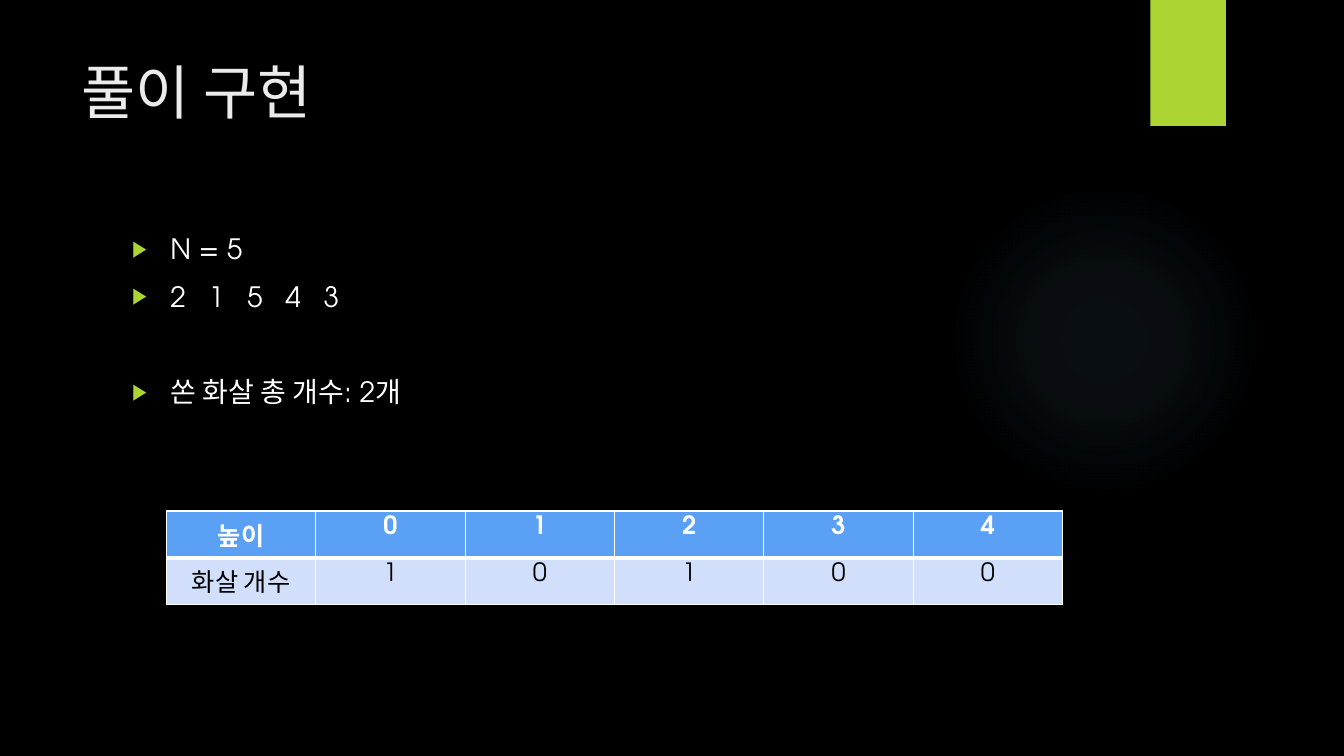
from lxml import etree
from pptx import Presentation
from pptx.dml.color import RGBColor
from pptx.enum.shapes import MSO_SHAPE as Shape
from pptx.enum.text import MSO_ANCHOR as Anchor, MSO_AUTO_SIZE as AutoSize, PP_ALIGN as Align
from pptx.oxml import parse_xml
from pptx.oxml.ns import nsdecls, qn
from pptx.util import Inches, Pt

COLORS = {
    "background": "000000", "accent": "ACD433", "glow": "7AC4F0",
    "title": "EBEBEB", "light": "FFFFFF", "dark": "000000",
    "header": "5AA0F5", "row": "D2DFFB",
}
FONT = "TeX Gyre Adventor"
INDENT = 0.38


def rgb(name):
    return RGBColor.from_string(COLORS[name])


class ArrowSlide:
    def __init__(self, deck):
        self.slide = deck.slides.add_slide(deck.slide_layouts[1])
        background = self.slide.background.fill
        background.solid()
        background.fore_color.rgb = rgb("background")

    def format_text(self, paragraph, size, color, bold=False):
        for run in paragraph.runs:
            font = run.font
            font.name, font.size, font.bold = FONT, Pt(size), bold
            font.color.rgb = rgb(color)

    def place(self, holder, box):
        holder.left, holder.top, holder.width, holder.height = map(Inches, box)
        frame = holder.text_frame
        frame.auto_size = AutoSize.NONE
        frame.word_wrap = True
        frame.vertical_anchor = Anchor.TOP
        return frame

    def decoration(self, kind, box, color):
        """Add a plain shape behind the placeholders."""
        shape = self.slide.shapes.add_shape(kind, *map(Inches, box))
        shape.shadow.inherit = False
        shape.fill.solid()
        shape.fill.fore_color.rgb = rgb(color)
        shape.line.fill.background()
        shape.element.getparent().insert(2, shape.element)
        return shape

    def glow(self, box, color, stops):
        """Add a circle that fades out; stops are (position, opacity) in percent."""
        circle = self.decoration(Shape.OVAL, box, color)
        stop_xml = "".join(
            f'<a:gs pos="{position * 1000}"><a:srgbClr val="{COLORS[color]}">'
            f'<a:alpha val="{opacity * 1000}"/></a:srgbClr></a:gs>'
            for position, opacity in stops)
        gradient = parse_xml(
            f'<a:gradFill {nsdecls("a")} rotWithShape="1"><a:gsLst>{stop_xml}</a:gsLst>'
            '<a:path path="circle"><a:fillToRect l="50000" t="50000" r="50000" b="50000"/>'
            '</a:path></a:gradFill>')
        properties = circle.element.spPr
        properties.replace(properties.find(qn("a:solidFill")), gradient)

    def title(self, text, box):
        frame = self.place(self.slide.shapes.title, box)
        frame.text = text
        heading = frame.paragraphs[0]
        heading.alignment = Align.LEFT
        self.format_text(heading, 42, "title")

    def bullets(self, items, box):
        """Fill the body; items are (text, space before in points)."""
        frame = self.place(self.slide.placeholders[1], box)
        frame.text = "\n".join(text for text, _ in items)
        for paragraph, (_, gap) in zip(frame.paragraphs, items):
            paragraph.space_before = Pt(gap)
            self.format_text(paragraph, 20, "light")
            self.bullet_mark(paragraph)

    def bullet_mark(self, paragraph):
        """Set the triangle, the hanging indent and evenly spaced tab stops."""
        properties = paragraph._p.get_or_add_pPr()
        properties.set("marL", str(Inches(INDENT)))
        properties.set("indent", str(-Inches(INDENT)))
        color = etree.SubElement(properties, qn("a:buClr"))
        etree.SubElement(color, qn("a:srgbClr"), val=COLORS["accent"])
        etree.SubElement(properties, qn("a:buSzPct"), val="80000")
        etree.SubElement(properties, qn("a:buChar"), char="▶")
        tabs = etree.SubElement(properties, qn("a:tabLst"))
        for step in range(1, 8):
            etree.SubElement(tabs, qn("a:tab"), pos=str(Inches(INDENT * step)), algn="l")

    def borders(self, cell, top, bottom):
        properties = cell._tc.get_or_add_tcPr()
        for index, (side, width) in enumerate(
                (("L", 1), ("R", 1), ("T", top), ("B", bottom))):
            properties.insert(index, parse_xml(
                f'<a:ln{side} {nsdecls("a")} w="{Pt(width)}"><a:solidFill>'
                f'<a:srgbClr val="{COLORS["light"]}"/></a:solidFill></a:ln{side}>'))

    def table(self, rows, box):
        table = self.slide.shapes.add_table(
            len(rows), len(rows[0]), *map(Inches, box)).table
        for r, values in enumerate(rows):
            header = r == 0
            for c, value in enumerate(values):
                cell = table.cell(r, c)
                cell.text = value
                cell.fill.solid()
                cell.fill.fore_color.rgb = rgb("header" if header else "row")
                paragraph = cell.text_frame.paragraphs[0]
                paragraph.alignment = Align.CENTER
                self.format_text(paragraph, 18, "light" if header else "dark", header)
                self.borders(cell, top=1 if header else 3, bottom=3 if header else 1)


def main():
    deck = Presentation()
    deck.slide_width, deck.slide_height = Inches(13.33), Inches(7.5)
    page = ArrowSlide(deck)
    page.decoration(Shape.RECTANGLE, (11.41, 0, 0.75, 1.25), "accent")
    page.glow((9.41, 1.83, 3.08, 3.08), "glow", [(0, 7), (36, 6), (69, 0)])
    page.title("풀이 구현", (0.71, 0.5, 10.29, 1.53))
    heights = [2, 1, 5, 4, 3]
    page.bullets([
        (f"N = {len(heights)}", 10),
        ("\t".join(map(str, heights)), 10),
        ("쏜 화살 총 개수: 2개", 44),
    ], (1.21, 2.25, 9.78, 4.59))
    page.table([
        ["높이", "0", "1", "2", "3", "4"],
        ["화살 개수", "1", "0", "1", "0", "0"],
    ], (1.65, 5.07, 8.89, 0.81))
    deck.save("out.pptx")


if __name__ == "__main__":
    main()
